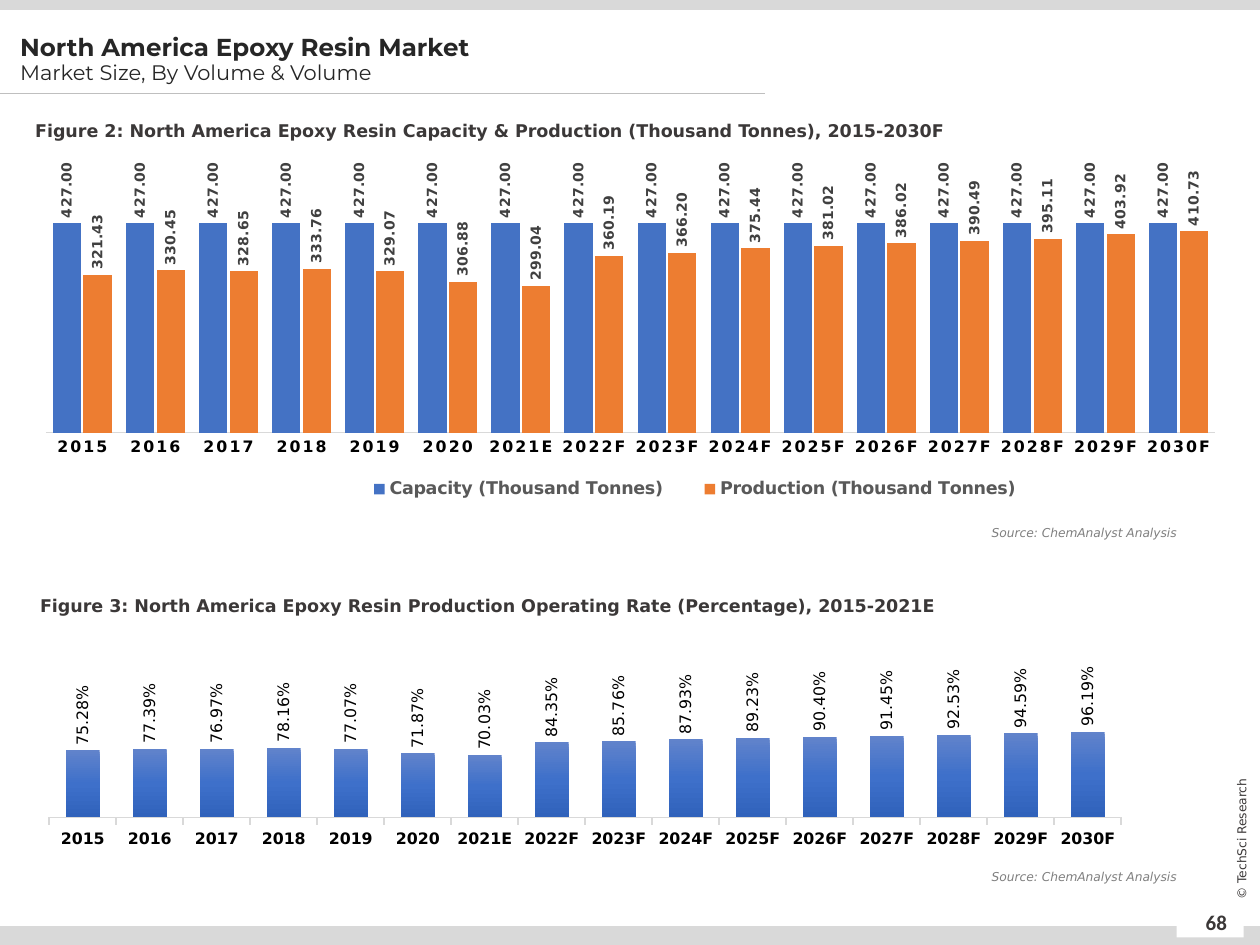
import copy
import lxml.etree
import pptx
import pptx.chart.data
import pptx.dml.color
import pptx.enum.chart
import pptx.enum.shapes
import pptx.enum.text
import pptx.oxml
import pptx.oxml.ns
import pptx.util

Cm, Pt = pptx.util.Cm, pptx.util.Pt
ALIGN = pptx.enum.text.PP_ALIGN
ANCHOR = pptx.enum.text.MSO_ANCHOR
TICK = pptx.enum.chart.XL_TICK_MARK
qn = pptx.oxml.ns.qn

COLORS = {"band": "D9D9D9", "white": "FFFFFF", "rule": "BFBFBF", "title": "262626",
          "text": "3B3838", "source": "808080", "black": "000000", "label": "404040",
          "legend": "595959", "capacity": "4472C4", "production": "ED7D31",
          "rate_top": "6183CB", "rate_middle": "3E70CA", "rate_bottom": "3062BB"}
FONT = "DejaVu Sans"

BANDS = [((0, 0, 25.4, 0.2), "band"), ((0, 18.67, 25.4, 0.38), "band"),
         ((23.72, 18.34, 1.35, 0.56), "white")]
HEADING = [("North America Epoxy Resin Market", 14, True),
           ("Market Size, By Volume & Volume", 12, False)]
CAPTIONS = [
    ("Figure 2: North America Epoxy Resin Capacity & Production (Thousand Tonnes), 2015-2030F",
     (0.46, 2.08, 24.46, 0.81), ALIGN.LEFT),
    ("Figure 3: North America Epoxy Resin Production Operating Rate (Percentage), 2015-2021E",
     (-2.41, 11.66, 24.46, 0.81), ALIGN.CENTER)]
SOURCE = "Source: ChemAnalyst Analysis"
SOURCE_TOPS = [10.46, 17.4]
YEARS = ["2015", "2016", "2017", "2018", "2019", "2020", "2021E", "2022F", "2023F",
         "2024F", "2025F", "2026F", "2027F", "2028F", "2029F", "2030F"]
CAPACITY = [427] * len(YEARS)
PRODUCTION = [321.43, 330.45, 328.65, 333.76, 329.07, 306.88, 299.04, 360.19,
              366.2, 375.44, 381.02, 386.02, 390.49, 395.11, 403.92, 410.73]
RATE = [0.7528, 0.7739, 0.7697, 0.7816, 0.7707, 0.7187, 0.7003, 0.8435,
        0.8576, 0.8793, 0.8923, 0.904, 0.9145, 0.9253, 0.9459, 0.9619]


def rgb(name):
    return pptx.dml.color.RGBColor.from_string(COLORS[name])


def style(font, size, color, bold=False, italic=False, face=FONT):
    font.name, font.size, font.bold, font.italic = face, Pt(size), bold, italic
    font.color.rgb = rgb(color)


def add_label(slide, text, box, size, color, align, bold=False, italic=False,
              face=FONT, spacing=None, anchor=ANCHOR.TOP, rotation=0):
    label = slide.shapes.add_textbox(*map(Cm, box))
    label.rotation = rotation
    frame = label.text_frame
    frame.word_wrap = True
    frame.vertical_anchor = anchor
    paragraph = frame.paragraphs[0]
    paragraph.alignment = align
    paragraph.line_spacing = spacing
    run = paragraph.add_run()
    run.text = text
    style(run.font, size, color, bold, italic, face)


def manual_layout(x, y, w, h, inner=False):
    layout = lxml.etree.Element(qn("c:layout"))
    manual = lxml.etree.SubElement(layout, qn("c:manualLayout"))
    settings = [("layoutTarget", "inner")] if inner else []
    settings += [("xMode", "edge"), ("yMode", "edge"), ("x", x), ("y", y), ("w", w), ("h", h)]
    for tag, value in settings:
        lxml.etree.SubElement(manual, qn("c:" + tag)).set("val", str(value))
    return layout


def add_columns(slide, box, series, number_format, gap, overlap, top_value, plot_box,
                label_size, label_color, label_bold):
    data = pptx.chart.data.CategoryChartData(number_format=number_format)
    data.categories = YEARS
    for name, values in series:
        data.add_series(name, values)
    chart = slide.shapes.add_chart(pptx.enum.chart.XL_CHART_TYPE.COLUMN_CLUSTERED,
                                   *map(Cm, box), data).chart
    style(chart.font, 9, "black")
    chart.has_title = False
    chart.has_legend = False
    plot = chart.plots[0]
    plot.gap_width, plot.overlap, plot.vary_by_categories = gap, overlap, False
    years, amounts = chart.category_axis, chart.value_axis
    style(years.tick_labels.font, 9, "black", True)
    years.format.line.color.rgb = rgb("band")
    amounts.minimum_scale, amounts.maximum_scale = 0, top_value
    amounts.has_major_gridlines = False
    for columns in plot.series:
        labels = columns.data_labels
        labels.show_value = True
        labels.number_format, labels.number_format_is_linked = number_format, False
        labels.position = pptx.enum.chart.XL_LABEL_POSITION.OUTSIDE_END
        style(labels.font, label_size, label_color, label_bold)
        body = columns._element.xpath("c:dLbls/c:txPr/a:bodyPr")[0]
        body.set("rot", "-5400000")
        body.set("vert", "horz")
    area = chart._chartSpace.xpath(".//c:plotArea")[0]
    for layout in area.findall(qn("c:layout")):
        area.remove(layout)
    area.insert(0, manual_layout(*plot_box, inner=True))
    return chart


def add_capacity_chart(slide):
    chart = add_columns(
        slide, (0.91, 3.2, 23.6, 7.24),
        [("Capacity (Thousand Tonnes)", CAPACITY), ("Production (Thousand Tonnes)", PRODUCTION)],
        "0.00", 50, -8, 450, (0, 0.148, 1, 0.615), 8, "label", True)
    for columns, color in zip(chart.plots[0].series, ("capacity", "production")):
        columns.format.fill.solid()
        columns.format.fill.fore_color.rgb = rgb(color)
    years = chart.category_axis
    years.major_tick_mark = TICK.NONE
    years.format.line.width = Pt(0.75)
    years._element.xpath("c:txPr//a:defRPr")[0].set("spc", "120")
    chart.value_axis.visible = False
    chart.has_legend = True
    legend = chart.legend
    legend.position = pptx.enum.chart.XL_LEGEND_POSITION.TOP
    legend.include_in_layout = False
    style(legend.font, 10, "legend", True)
    for layout in legend._element.findall(qn("c:layout")):
        legend._element.remove(layout)
    legend._element.find(qn("c:legendPos")).addnext(manual_layout(0.25, 0.87, 0.61, 0.1))


def add_rate_chart(slide):
    chart = add_columns(
        slide, (0.43, 12.88, 22.56, 4.42), [("Series 1", RATE)],
        "0.00%", 100, 0, 1.2, (0.025, 0.327, 0.958, 0.488), 9, "black", False)
    chart.category_axis.major_tick_mark = TICK.OUTSIDE
    chart.category_axis.format.line.width = Pt(1)
    amounts = chart.value_axis
    amounts.major_tick_mark = TICK.OUTSIDE
    amounts.tick_label_position = pptx.enum.chart.XL_TICK_LABEL_POSITION.NONE
    amounts.format.line.fill.background()
    columns = chart.plots[0].series[0]
    fill = columns.format.fill
    fill.gradient()
    fill.gradient_angle = 270
    first = columns._element.xpath(".//a:gsLst/a:gs")[0]
    first.addnext(copy.deepcopy(first))
    shades = [(0, "rate_top"), (0.5, "rate_middle"), (1, "rate_bottom")]
    for stop, (position, color) in zip(fill.gradient_stops, shades):
        stop.position = position
        stop.color.rgb = rgb(color)


def add_frame(slide):
    for box, color in BANDS:
        band = slide.shapes.add_shape(pptx.enum.shapes.MSO_SHAPE.RECTANGLE, *map(Cm, box))
        band.shadow.inherit = False
        band.fill.solid()
        band.fill.fore_color.rgb = rgb(color)
        band.line.fill.background()
    rule = slide.shapes.add_connector(pptx.enum.shapes.MSO_CONNECTOR.STRAIGHT,
                                      Cm(0), Cm(1.88), Cm(15.42), Cm(1.88))
    rule.line.color.rgb = rgb("rule")
    rule.line.width = Pt(0.5)
    lxml.etree.SubElement(rule._element.spPr, qn("a:effectLst"))
    add_label(slide, "68", (23.9, 18.08, 1.24, 1.02), 12, "text", ALIGN.CENTER,
              bold=True, face="Calibri", anchor=ANCHOR.MIDDLE)
    add_label(slide, "© TechSci Research", (23.5, 16.71, 3.05, 0.41), 7, "text",
              ALIGN.CENTER, anchor=ANCHOR.MIDDLE, rotation=270)


def add_heading(slide):
    title = slide.shapes.title
    title.left, title.top, title.width, title.height = map(Cm, (0.15, 0.36, 15.57, 1.7))
    frame = title.text_frame
    frame.word_wrap = True
    frame.auto_size = pptx.enum.text.MSO_AUTO_SIZE.NONE
    frame.vertical_anchor = ANCHOR.MIDDLE
    for index, (text, size, bold) in enumerate(HEADING):
        paragraph = frame.add_paragraph() if index else frame.paragraphs[0]
        paragraph.alignment = ALIGN.LEFT
        paragraph.line_spacing = 0.9
        paragraph.space_before = Pt(0)
        run = paragraph.add_run()
        run.text = text
        style(run.font, size, "title", bold, face="Montserrat")


def main():
    deck = pptx.Presentation()
    deck.slide_width, deck.slide_height = Cm(25.4), Cm(19.05)
    slide = deck.slides.add_slide(deck.slide_layouts[5])
    add_frame(slide)
    add_heading(slide)
    add_capacity_chart(slide)
    add_rate_chart(slide)
    for text, box, align in CAPTIONS:
        add_label(slide, text, box, 10, "text", align, bold=True, spacing=1.5)
    for top in SOURCE_TOPS:
        add_label(slide, SOURCE, (15.54, top, 8.43, 0.56), 7, "source", ALIGN.RIGHT, italic=True)
    deck.save("out.pptx")


if __name__ == "__main__":
    main()
